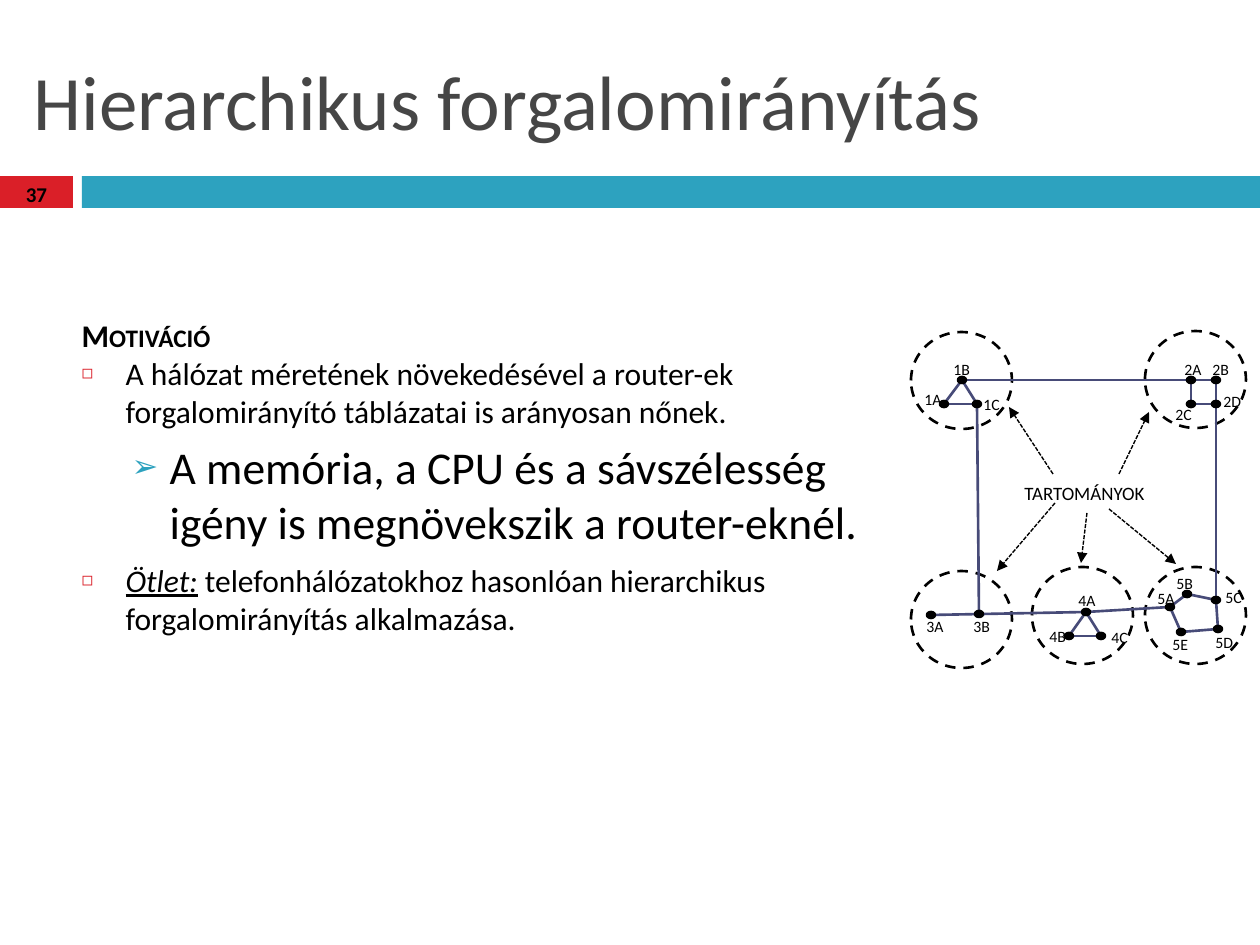
from lxml.etree import SubElement
from pptx import Presentation
from pptx.dml.color import RGBColor
from pptx.enum.dml import MSO_LINE_DASH_STYLE as DASH
from pptx.enum.shapes import MSO_CONNECTOR, MSO_SHAPE
from pptx.enum.text import MSO_ANCHOR, MSO_AUTO_SIZE, PP_ALIGN
from pptx.oxml.ns import qn
from pptx.util import Emu, Pt

BLACK = RGBColor(0x00, 0x00, 0x00)
GREY = RGBColor(0x46, 0x46, 0x46)
RED = RGBColor(0xDA, 0x1F, 0x28)
TEAL = RGBColor(0x2D, 0xA2, 0xBF)
NAVY = RGBColor(0x47, 0x4B, 0x78)
FONT = "Calibri"
SCALE = 914400 / 126  # EMU per px

# Content
TITLE = "Hierarchikus forgalomirányítás"
PAGE = "37"
SQUARE = dict(char="◻", color=RED, size=60, left=44, hang=44)
ARROW = dict(char="➢", color=TEAL, size=70, left=88, hang=38)
# (space before, bullet, [(text, format), ...])
BODY = [
    (7, None, [("Motiváció", dict(size=18, bold=True, small=True))]),
    (0, SQUARE, [("A hálózat méretének növekedésével a router-ek "
                  "forgalomirányító táblázatai is arányosan nőnek.", dict(size=18))]),
    (5.5, ARROW, [("A memória, a CPU és a sávszélesség igény is "
                   "megnövekszik a router-eknél.", dict(size=26))]),
    (7, SQUARE, [("Ötlet:", dict(size=18, italic=True, underline=True)),
                 (" telefonhálózatokhoz hasonlóan hierarchikus "
                  "forgalomirányítás alkalmazása.", dict(size=18))]),
]
BARS = [(0, 73, RED), (82, 1178, TEAL)]  # left, width, colour

# Network: region corners, routers as (dot centre, label corner), links
REGIONS = [(911, 332), (1145, 331), (911, 571), (1032, 567), (1145, 567)]
ROUTERS = {
    "1A": ((944, 404), (912, 384)),
    "1B": ((962, 380), (941, 354)),
    "1C": ((977, 404), (971, 389)),
    "2A": ((1191, 380), (1172, 354)),
    "2B": ((1216, 380), (1200, 354)),
    "2C": ((1191, 404), (1163, 399)),
    "2D": ((1216, 404), (1211, 386)),
    "3A": ((931, 615), (914, 611)),
    "3B": ((979, 614), (961, 611)),
    "4A": ((1086, 612), (1066, 585)),
    "4B": ((1069, 636), (1037, 621)),
    "4C": ((1101, 636), (1099, 622)),
    "5A": ((1170, 607), (1145, 583)),
    "5B": ((1187, 594), (1164, 568)),
    "5C": ((1216, 600), (1213, 582)),
    "5D": ((1218, 629), (1203, 627)),
    "5E": ((1181, 632), (1160, 629)),
}
LINKS = ("1B-2B 1B-1A 1B-1C 1A-1C 4A-4B 4A-4C 4B-4C 2A-2C 2B-2D 2C-2D 2D-5C "
         "4A-3A 1C-3B 5B-5C 5B-5A 5A-5E 5E-5D 5C-5D 4A-5A").split()
POINTERS = [
    ((1055, 503), (997, 571)),
    ((1087, 513), (1081, 563)),
    ((1109, 509), (1176, 564)),
    ((1053, 474), (1009, 407)),
    ((1119, 474), (1149, 412)),
]


def px(*values):
    return [Emu(round(v * SCALE)) for v in values]


def add_text(p, text, size=18, color=BLACK, bold=False, italic=False,
             underline=False, small=False):
    r = p.add_run()
    r.text = text
    f = r.font
    f.name, f.size, f.color.rgb = FONT, Pt(size), color
    f.bold, f.italic, f.underline = bold, italic, underline
    if small:
        f._element.set("cap", "small")


def set_bullet(p, bullet):
    pPr = p._p.get_or_add_pPr()
    left, hang = px(bullet["left"], bullet["hang"]) if bullet else (0, 0)
    pPr.set("marL", str(int(left)))
    pPr.set("indent", str(-int(hang)))
    if not bullet:
        SubElement(pPr, qn("a:buNone"))
        return
    clr = SubElement(pPr, qn("a:buClr"))
    SubElement(clr, qn("a:srgbClr"), val=str(bullet["color"]))
    SubElement(pPr, qn("a:buSzPct"), val=str(bullet["size"] * 1000))
    SubElement(pPr, qn("a:buChar"), char=bullet["char"])


def add_shape(kind, box, fill=None, line=None, dash=None):
    s = slide.shapes.add_shape(kind, *px(*box))
    s.shadow.inherit = False
    if fill is None:
        s.fill.background()
    else:
        s.fill.solid()
        s.fill.fore_color.rgb = fill
    if line is None:
        s.line.fill.background()
    else:
        s.line.color.rgb, s.line.width = line, Pt(1.5)
        s.line.dash_style = dash


def add_line(start, end, color, width, dash=None, head=False):
    c = slide.shapes.add_connector(MSO_CONNECTOR.STRAIGHT, *px(*start, *end))
    c.line.color.rgb, c.line.width = color, Pt(width)
    c.line.dash_style = dash
    if head:
        SubElement(c.line._get_or_add_ln(), qn("a:tailEnd"), type="triangle")
    SubElement(c._element.spPr, qn("a:effectLst"))


def add_label(text, box, **fmt):
    tf = slide.shapes.add_textbox(*px(*box)).text_frame
    tf.word_wrap = False
    add_text(tf.paragraphs[0], text, **fmt)
    return tf


prs = Presentation()
prs.slide_width, prs.slide_height = px(1260, 945)
slide = prs.slides.add_slide(prs.slide_layouts[1])
title, body = slide.placeholders

# Header bars
for left, width, color in BARS:
    add_shape(MSO_SHAPE.RECTANGLE, (left, 176, width, 32), fill=color)

# Title
title.left, title.top, title.width, title.height = px(21, 32, 1218, 136)
tf = title.text_frame
tf.vertical_anchor = MSO_ANCHOR.MIDDLE
tf.auto_size = MSO_AUTO_SIZE.NONE
tf.paragraphs[0].alignment = PP_ALIGN.LEFT
add_text(tf.paragraphs[0], TITLE, size=44, color=GREY)

# Body list
body.left, body.top, body.width, body.height = px(69, 310, 816, 474)
tf = body.text_frame
tf.auto_size = MSO_AUTO_SIZE.NONE
for i, (before, bullet, runs) in enumerate(BODY):
    p = tf.add_paragraph() if i else tf.paragraphs[0]
    p.level = int(bullet is ARROW)
    p.space_before = Pt(before)
    set_bullet(p, bullet)
    for text, fmt in runs:
        add_text(p, text, **fmt)

# Regions, links and routers
for corner in REGIONS:
    add_shape(MSO_SHAPE.OVAL, (*corner, 101, 97), line=BLACK, dash=DASH.DASH)
for link in LINKS:
    a, b = link.split("-")
    add_line(ROUTERS[a][0], ROUTERS[b][0], NAVY, 1.5)
for name, ((x, y), corner) in ROUTERS.items():
    add_shape(MSO_SHAPE.OVAL, (x - 4, y - 3, 8, 6), fill=BLACK, line=BLACK)
    add_label(name, (*corner, 44, 31), size=9)

# Region caption with its pointers
add_label("tartományok", (1012, 471, 151, 42), size=13.5, small=True)
for start, end in POINTERS:
    add_line(start, end, BLACK, 0.79, dash=DASH.SQUARE_DOT, head=True)

# Page number
tf = add_label(PAGE, (0, 173, 73, 42), size=12, bold=True)
tf.word_wrap = True
tf.vertical_anchor = MSO_ANCHOR.MIDDLE
tf.paragraphs[0].alignment = PP_ALIGN.CENTER

prs.save("out.pptx")
